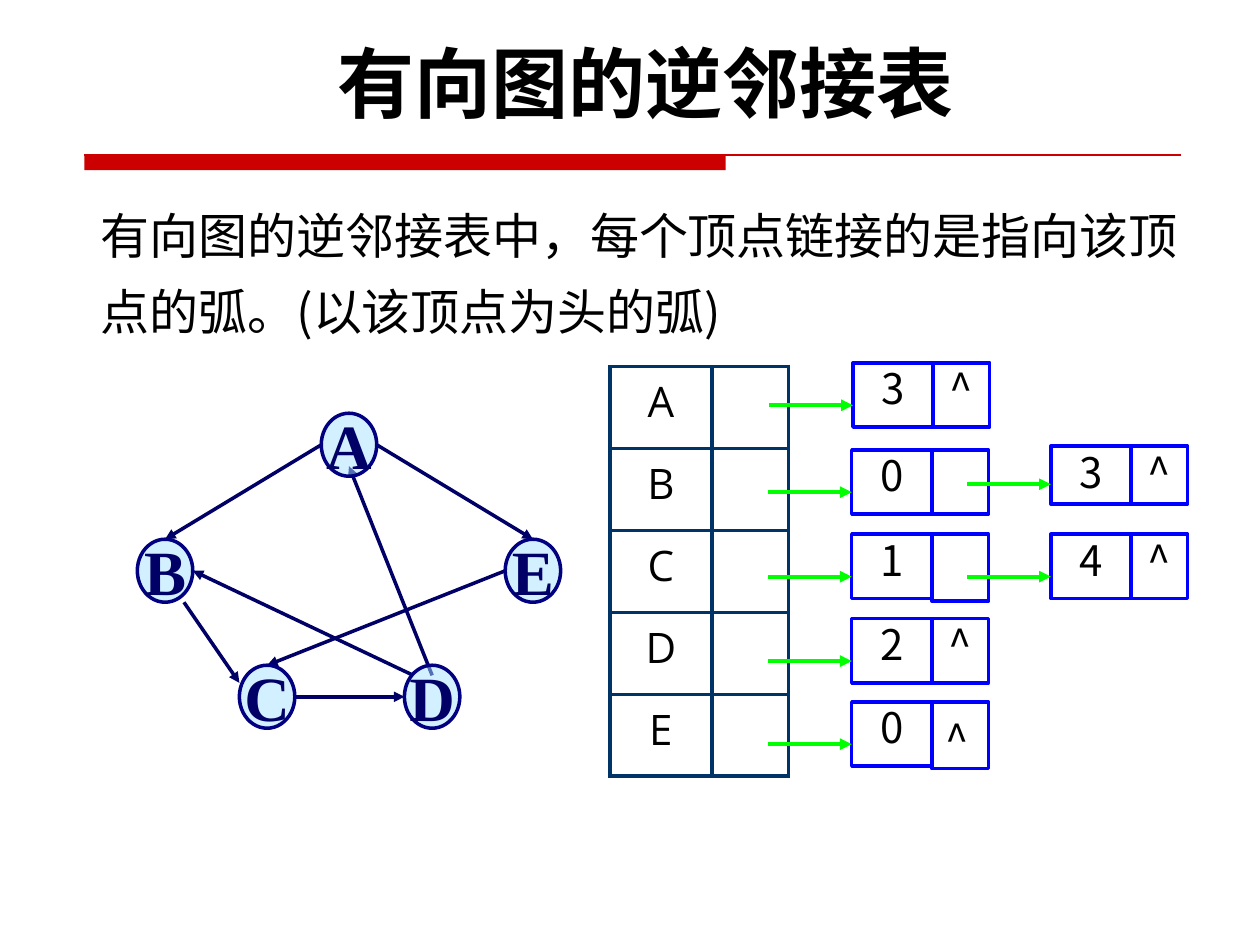
import pptx
import pptx.util
import pptx.dml.color
import pptx.enum.shapes
import pptx.enum.text
import pptx.oxml
import pptx.oxml.ns

Pt = pptx.util.Pt
CENTER = pptx.enum.text.PP_ALIGN.CENTER
MIDDLE = pptx.enum.text.MSO_ANCHOR.MIDDLE
TOP = pptx.enum.text.MSO_ANCHOR.TOP
SHAPES = pptx.enum.shapes.MSO_SHAPE
DRAWING = 'xmlns:a="http://schemas.openxmlformats.org/drawingml/2006/main"'


def color(value):
    return pptx.dml.color.RGBColor.from_string(value)


def element(markup):
    name, rest = markup.split(" ", 1)
    return pptx.oxml.parse_xml(f"<a:{name} {DRAWING} {rest}")


class Board:
    """Draws on one slide, measured in a grid of 100 columns by 75 rows."""
    cjk, sans, serif = "Noto Sans CJK SC", "Open Sans", "Times New Roman"
    black, red, ink, rim = "000000", "CC0000", "000066", "000080"
    pale, table_line, box_line, link = "A7E2FF", "003366", "0000FF", "00FF00"

    def __init__(self, presentation):
        self.column = presentation.slide_width / 100
        self.row = presentation.slide_height / 75
        self.slide = presentation.slides.add_slide(presentation.slide_layouts[1])

    def place(self, left, top, width, height):
        return (round(left * self.column), round(top * self.row),
                round(width * self.column), round(height * self.row))

    def add_text(self, frame, text, size, font, ink=black, bold=False, align=CENTER):
        paragraph = frame.paragraphs[0]
        paragraph.alignment = align
        run = paragraph.add_run()
        run.text = text
        run.font.size, run.font.name, run.font.bold = Pt(size), font, bold
        run.font.color.rgb = color(ink)
        run.font._element.find(pptx.oxml.ns.qn("a:latin")).addnext(
            element(f'ea typeface="{self.cjk}"/>'))
        return paragraph

    def placeholder(self, index, area, text, size, font, **style):
        shape = self.slide.placeholders[index]
        shape.left, shape.top, shape.width, shape.height = self.place(*area)
        shape.text_frame.auto_size = pptx.enum.text.MSO_AUTO_SIZE.NONE
        return self.add_text(shape.text_frame, text, size, font, **style)

    def shape(self, kind, area, fill=None, line=None, alpha=None):
        shape = self.slide.shapes.add_shape(kind, *self.place(*area))
        shape.shadow.inherit = False
        if fill:
            shape.fill.solid()
            shape.fill.fore_color.rgb = color(fill)
        else:
            shape.fill.background()
        if alpha:
            shape.fill._xPr.find(".//" + pptx.oxml.ns.qn("a:srgbClr")).append(
                element(f'alpha val="{alpha * 1000}"/>'))
        if line:
            shape.line.color.rgb = color(line)
            shape.line.width = Pt(2)
        else:
            shape.line.fill.background()
        return shape

    def line(self, start, end, ink, width, arrow=True):
        x1, y1, x2, y2 = self.place(*start, *end)
        connector = self.slide.shapes.add_connector(
            pptx.enum.shapes.MSO_CONNECTOR.STRAIGHT, x1, y1, x2, y2)
        connector.line.color.rgb = color(ink)
        connector.line.width = Pt(width)
        if arrow:
            connector.line._get_or_add_ln().append(element('tailEnd type="triangle"/>'))
        connector._element.spPr.append(element("effectLst />"))

    def node(self, name, center):
        x, y = center
        shape = self.shape(SHAPES.OVAL, (x - 2.2, y - 2.5, 4.4, 5), self.pale, self.rim, 50)
        frame = shape.text_frame
        frame.word_wrap = False
        frame.vertical_anchor = MIDDLE
        self.add_text(frame, name, 36, self.serif, self.ink, True)

    def label(self, shape, text):
        frame = shape.text_frame
        frame.word_wrap = True
        frame.vertical_anchor = TOP
        frame.margin_top = frame.margin_bottom = 0
        self.add_text(frame, text, 24, self.cjk)

    def box(self, area, text=""):
        shape = self.shape(SHAPES.RECTANGLE, area, line=self.box_line)
        if text:
            self.label(shape, text)

    def text(self, area, text):
        self.label(self.slide.shapes.add_textbox(*self.place(*area)), text)

    def vertex_table(self, area, names, widths):
        table = self.slide.shapes.add_table(len(names), 2, *self.place(*area)).table
        table.first_row = table.horz_banding = False
        for column, width in zip(table.columns, widths):
            column.width = round(width * self.column)
        for cell in table.iter_cells():
            properties = cell._tc.get_or_add_tcPr()
            for side in "LRTB":
                properties.append(element(
                    f'ln{side} w="{Pt(2.25)}"><a:solidFill><a:srgbClr val="{self.table_line}"/>'
                    f'</a:solidFill></a:ln{side}>'))
            cell.fill.background()
        for row, name in enumerate(names):
            self.add_text(table.cell(row, 0).text_frame, name, 24, self.sans)


presentation = pptx.Presentation()
presentation.slide_width = pptx.util.Inches(10)
presentation.slide_height = pptx.util.Inches(7.5)
board = Board(presentation)

board.shape(SHAPES.RECTANGLE, (6.7, 12.3, 50.9, 1.2), board.red)
board.line((6.7, 12.3), (93.7, 12.3), board.red, 0.75, arrow=False)
board.placeholder(0, (5, 2.3, 92.5, 8.4), "有向图的逆邻接表", 44, board.sans, bold=True)
body = board.placeholder(
    1, (7, 14.4, 88, 12.7),
    "有向图的逆邻接表中，每个顶点链接的是指向该顶点的弧。(以该顶点为头的弧)",
    28, board.cjk, align=pptx.enum.text.PP_ALIGN.LEFT)
body.line_spacing = Pt(43.5)
body.space_before = Pt(0)
body_properties = body._p.get_or_add_pPr()
body_properties.set("marL", "0")
body_properties.set("indent", "0")
body_properties.append(element("buNone />"))

nodes = {"A": (27.7, 35.3), "B": (13.1, 45.3), "E": (42.3, 45.3),
         "C": (21.2, 55.3), "D": (34.3, 55.3)}
west, east, north = (-2.2, 0), (2.2, 0), (0, -2.5)
edges = [("A", west, "B", north), ("B", (1.5, 2.5), "C", (-2.2, -1.1)),
         ("C", east, "D", west), ("D", (0, -1.7), "A", (0, 1.7)),
         ("A", east, "E", north), ("D", (-1.5, -1.7), "B", east),
         ("E", west, "C", north)]
for source, start, target, end in edges:
    ends = [tuple(map(sum, zip(nodes[name], shift)))
            for name, shift in ((source, start), (target, end))]
    board.line(*ends, board.ink, 2)
for name, center in nodes.items():
    board.node(name, center)

board.vertex_table((48.4, 29.1, 14.2, 32.5), "ABCDE", (8.1, 6.1))

first, second = 67.6, 83.4
entries = [(67.7, 28.8, 5.1, 5.1, "3", "^"), (first, 35.7, 5.1, 5.1, "0", ""),
           (first, 42.4, 5.1, 5.3, "1", ""), (first, 49.1, 5.1, 5.1, "2", "^"),
           (first, 55.7, 5.1, 5.3, "0", ""), (second, 35.4, 4.6, 4.6, "3", "^"),
           (second, 42.4, 5.1, 5.1, "4", "^")]
for left, top, height, link_height, number, mark in entries:
    board.box((left, top, 6.4, height), number)
    board.box((left + 6.35, top, 4.5, link_height), mark)
for left, top, height, *_ in entries:
    level = top + height * 0.66
    board.line((left - 6.65, level), (left, level), board.link, 2.25)
board.text((73.7, 56.6, 4.5, 5), "^")

presentation.save("out.pptx")
